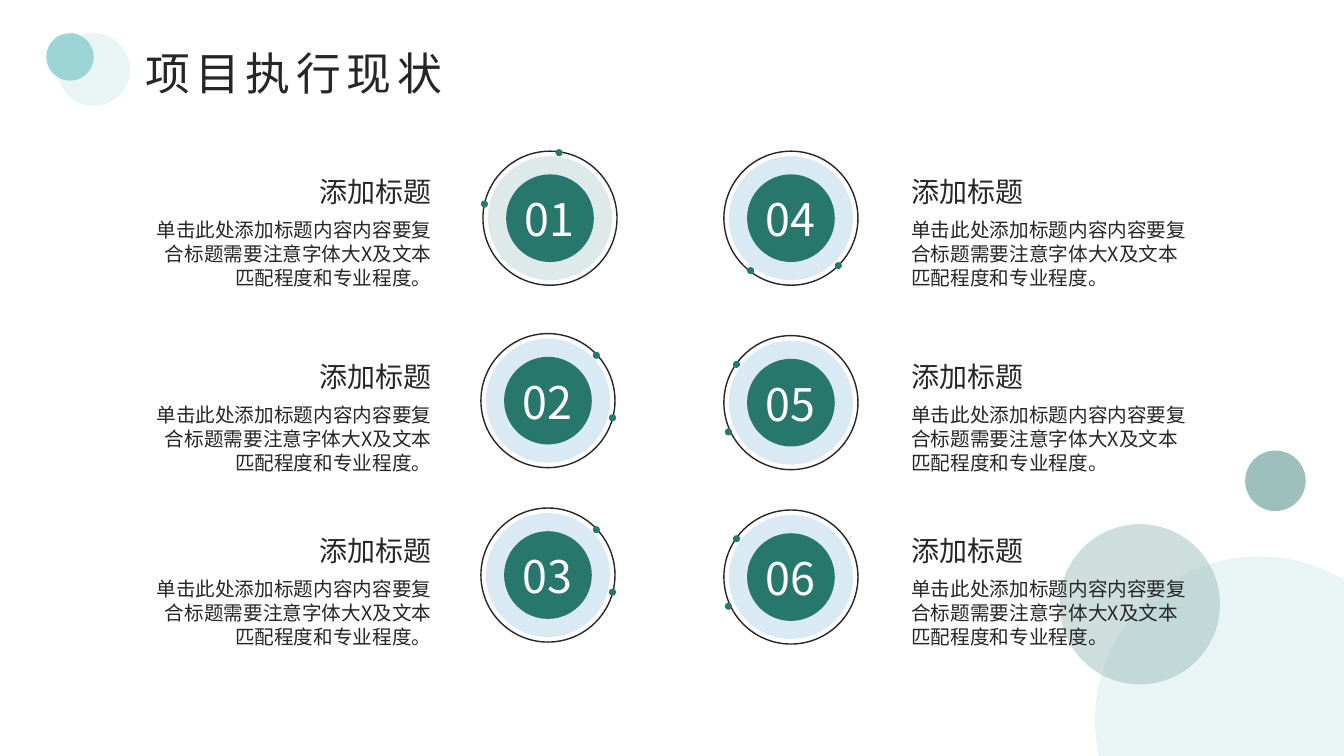
"""Project status slide: six numbered rings with headings and descriptions."""
from lxml import etree
from pptx import Presentation
from pptx.dml.color import RGBColor
from pptx.enum import shapes, text
from pptx.oxml.ns import qn
from pptx.util import Inches, Pt

TITLE = "项目执行现状"
HEADING = "添加标题"
BODY = "单击此处添加标题内容内容要复合标题需要注意字体大X及文本匹配程度和专业程度。"
FONT = "Noto Sans CJK SC"
COLORS = {"green": "27776D", "blue": "0077C1", "ink": "262626", "white": "FFFFFF",
          "pale": "E9F5F5", "sage": "9DC0BC", "aqua": "9DD5D6"}

CORNER_CIRCLES = [(10.86, 5.52, 3.26, "pale", 100), (12.35, 4.47, 0.6, "sage", 100),
                  (10.51, 5.2, 1.59, "sage", 51)]
TITLE_CIRCLES = [(0.57, 0.33, 0.72, "pale", 100), (0.46, 0.33, 0.47, "aqua", 100)]

DOTS_EAST = [(1.27, 0.8), (1.11, 0.18)]
DOTS_WEST = [(0.09, 0.25), (0.01, 0.92)]
ITEMS = [  # number, ring left, ring top, halo colour, dot offsets
    ("01", 4.79, 1.5, "green", [(-0.02, 0.49), (0.72, -0.02)]),
    ("02", 4.77, 3.31, "blue", DOTS_EAST),
    ("03", 4.77, 5.04, "blue", DOTS_EAST),
    ("04", 7.18, 1.5, "blue", [(0.23, 1.15), (1.1, 1.1)]),
    ("05", 7.18, 3.33, "blue", DOTS_WEST),
    ("06", 7.18, 5.06, "blue", DOTS_WEST),
]
ROW_TOPS = [1.66, 3.49, 5.22]
RING, HALO, DISC, DOT = 1.33, 1.23, 0.87, 0.07
HEADING_W, BODY_W, LEFT_EDGE, RIGHT_EDGE = 1.95, 2.97, 4.38, 8.94
LINE_RATIO, BASELINE_SHIFT = 1.22, 0.06
ALIGN = text.PP_ALIGN


def add_circle(s, x, y, size, fill=None, opacity=100):
    sp = s.shapes.add_shape(shapes.MSO_SHAPE.OVAL, *map(Inches, (x, y, size, size)))
    sp.shadow.inherit = False
    if fill is None:
        sp.fill.background()
        sp.line.color.rgb = RGBColor.from_string(COLORS["ink"])
        sp.line.width = Pt(1)
        return
    sp.fill.solid()
    sp.fill.fore_color.rgb = RGBColor.from_string(COLORS[fill])
    sp.line.fill.background()
    if opacity < 100:
        clr = sp.fill._xPr.find(qn("a:solidFill"))[0]
        etree.SubElement(clr, qn("a:alpha")).set("val", str(opacity * 1000))


def add_text(s, words, x, y, w, h, size, color="ink", align=ALIGN.LEFT, spacing=0):
    tf = s.shapes.add_textbox(*map(Inches, (x, y, w, h))).text_frame
    tf.word_wrap = True
    tf.margin_top = Inches(0.05) + Pt(size * BASELINE_SHIFT)
    tf.text = words
    p = tf.paragraphs[0]
    p.alignment = align
    p.line_spacing = Pt(size * LINE_RATIO)
    r = p.runs[0]
    r.font.size = Pt(size)
    r.font.name = FONT
    r.font.color.rgb = RGBColor.from_string(COLORS[color])
    rpr = r._r.get_or_add_rPr()
    etree.SubElement(rpr, qn("a:ea")).set("typeface", FONT)
    if spacing:
        rpr.set("spc", str(spacing * 100))


def add_badge(s, number, x, y, halo, dots):
    for size, fill, opacity in ((HALO, halo, 15), (DISC, "green", 100), (RING, None, 100)):
        inset = (RING - size) / 2
        add_circle(s, x + inset, y + inset, size, fill, opacity)
    for dx, dy in dots:
        add_circle(s, x + dx, y + dy, DOT, "green")
    add_text(s, number, x + 0.12, y + 0.32, 1.08, 0.64, 32, "white", ALIGN.CENTER)


def main():
    prs = Presentation()
    prs.slide_width, prs.slide_height = Inches(13.33), Inches(7.5)
    s = prs.slides.add_slide(prs.slide_layouts[6])
    for circle in CORNER_CIRCLES + TITLE_CIRCLES:
        add_circle(s, *circle)
    add_text(s, TITLE, 1.34, 0.37, 3.51, 0.64, 32, spacing=4)
    for i, item in enumerate(ITEMS):
        add_badge(s, *item)
        on_left, top = i < len(ROW_TOPS), ROW_TOPS[i % len(ROW_TOPS)]
        align = ALIGN.RIGHT if on_left else ALIGN.LEFT
        for words, y, w, h, size in ((HEADING, top, HEADING_W, 0.44, 20),
                                     (BODY, top + 0.44, BODY_W, 0.81, 14)):
            x = LEFT_EDGE - w if on_left else RIGHT_EDGE
            add_text(s, words, x, y, w, h, size, align=align)
    prs.save("out.pptx")


if __name__ == "__main__":
    main()
